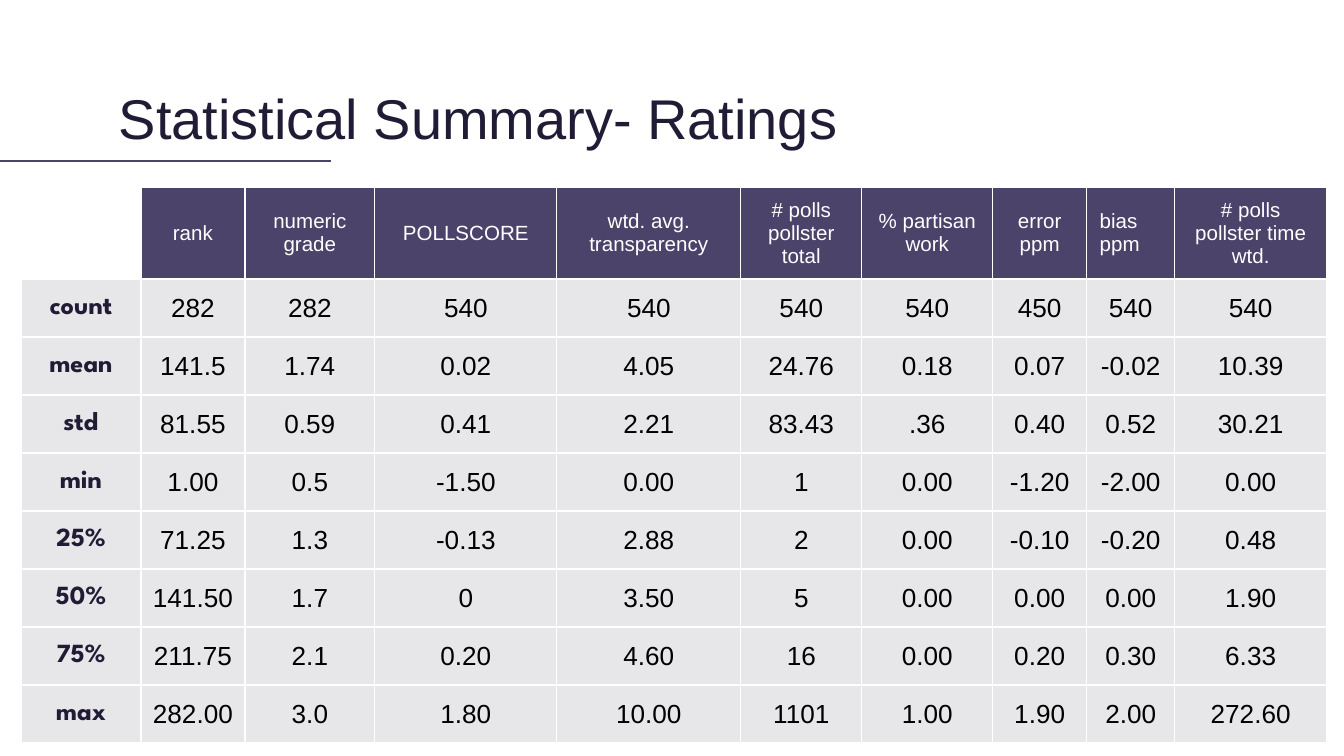
from dataclasses import dataclass

from lxml import etree
from pptx import Presentation
from pptx import util as u
from pptx.dml.color import RGBColor
from pptx.enum import shapes, text
from pptx.oxml import ns

SCALE = 914400 / 134.4


@dataclass(frozen=True)
class Theme:
    ink: str = "221B36"
    plum: str = "4C436B"
    pale: str = "E7E7E9"
    white: str = "FFFFFF"
    black: str = "000000"
    body: str = "Arial"
    label: str = "League Spartan"
    title: int = 30
    head: int = 11
    cell: int = 14


def px(n):
    return u.Emu(round(n * SCALE))


def rgb(code):
    return RGBColor.from_string(code)


def apply(item, values):
    for key, value in values.items():
        setattr(item, key, value)


class Deck:
    def __init__(self, theme, wide, high):
        self.theme = theme
        self.file = Presentation()
        apply(self.file, {"slide_width": px(wide), "slide_height": px(high)})
        self.slide = self.file.slides.add_slide(self.file.slide_layouts[6])

    def label(self, para, words, size, color, name=None, bold=False, align=text.PP_ALIGN.CENTER):
        para.alignment = align
        run = para.add_run()
        run.text = words
        apply(run.font, {"size": u.Pt(size), "name": name or self.theme.body, "bold": bold})
        run.font.color.rgb = rgb(color)

    def title(self, words, box, pads):
        frame = self.slide.shapes.add_textbox(*map(px, box)).text_frame
        sides = ("margin_left", "margin_top", "margin_right", "margin_bottom")
        apply(frame, dict(zip(sides, map(px, pads)), word_wrap=True))
        self.label(frame.paragraphs[0], words, self.theme.title, self.theme.ink,
                   align=text.PP_ALIGN.LEFT)

    def line(self, start, end, color, width):
        rule = self.slide.shapes.add_connector(
            shapes.MSO_CONNECTOR.STRAIGHT, *map(px, start + end))
        rule.line.color.rgb = rgb(color)
        rule.line.width = u.Pt(width)
        etree.SubElement(rule._element.spPr, ns.qn("a:effectLst"))

    def border(self, cell, color, width):
        props = cell._tc.get_or_add_tcPr()
        for spot, side in enumerate(("lnL", "lnR", "lnT", "lnB")):
            edge = etree.Element(ns.qn(f"a:{side}"), w=str(u.Pt(width)))
            fill = etree.SubElement(edge, ns.qn("a:solidFill"))
            etree.SubElement(fill, ns.qn("a:srgbClr"), val=color)
            props.insert(spot, edge)

    def cell(self, cell, words, fill, pads, **style):
        wide, high = map(px, pads)
        apply(cell, {"margin_left": wide, "margin_right": wide,
                     "margin_top": high, "margin_bottom": high,
                     "vertical_anchor": text.MSO_ANCHOR.MIDDLE})
        if words:
            cell.fill.solid()
            cell.fill.fore_color.rgb = rgb(fill)
            self.label(cell.text_frame.paragraphs[0], words, **style)
        else:
            cell.fill.background()
        self.border(cell, self.theme.white, 0.75)

    def table(self, left, top, widths, high, heads, rows):
        look = self.theme
        count = len(rows) + 1
        grid = self.slide.shapes.add_table(
            count, len(widths), px(left), px(top), px(sum(widths)), px(high * count)).table
        apply(grid, {"first_row": False, "horz_banding": False})
        for col, width in zip(grid.columns, widths):
            col.width = px(width)
        for row in grid.rows:
            row.height = px(high)
        for c, words in enumerate(heads):
            align = text.PP_ALIGN.LEFT if words == "bias ppm" else text.PP_ALIGN.CENTER
            self.cell(grid.cell(0, c), words, look.plum, (13, 9),
                      size=look.head, color=look.white, align=align)
        for r, (name, *values) in enumerate(rows, 1):
            self.cell(grid.cell(r, 0), name, look.pale, (13, 0),
                      size=look.cell, color=look.ink, name=look.label, bold=True)
            for c, value in enumerate(values, 1):
                self.cell(grid.cell(r, c), value, look.pale, (0, 0),
                          size=look.cell, color=look.black)


HEADS = ["", "rank", "numeric grade", "POLLSCORE", "wtd. avg. transparency",
         "# polls pollster total", "% partisan work", "error ppm", "bias ppm",
         "# polls pollster time wtd."]
WIDTHS = [120, 104, 130, 182, 184, 121, 131, 94, 88, 152]
STATS = """\
count 282 282 540 540 540 540 450 540 540
mean 141.5 1.74 0.02 4.05 24.76 0.18 0.07 -0.02 10.39
std 81.55 0.59 0.41 2.21 83.43 .36 0.40 0.52 30.21
min 1.00 0.5 -1.50 0.00 1 0.00 -1.20 -2.00 0.00
25% 71.25 1.3 -0.13 2.88 2 0.00 -0.10 -0.20 0.48
50% 141.50 1.7 0 3.50 5 0.00 0.00 0.00 1.90
75% 211.75 2.1 0.20 4.60 16 0.00 0.20 0.30 6.33
max 282.00 3.0 1.80 10.00 1101 1.00 1.90 2.00 272.60"""


def main():
    theme = Theme()
    deck = Deck(theme, 1344, 756)
    deck.title("Statistical Summary- Ratings", (106, 66, 1133, 85), (13, 18, 13, 0))
    deck.table(21, 187, WIDTHS, 58, HEADS, [row.split() for row in STATS.splitlines()])
    deck.line((0, 161), (331, 161), theme.plum, 1.5)
    deck.file.save("out.pptx")


if __name__ == "__main__":
    main()
